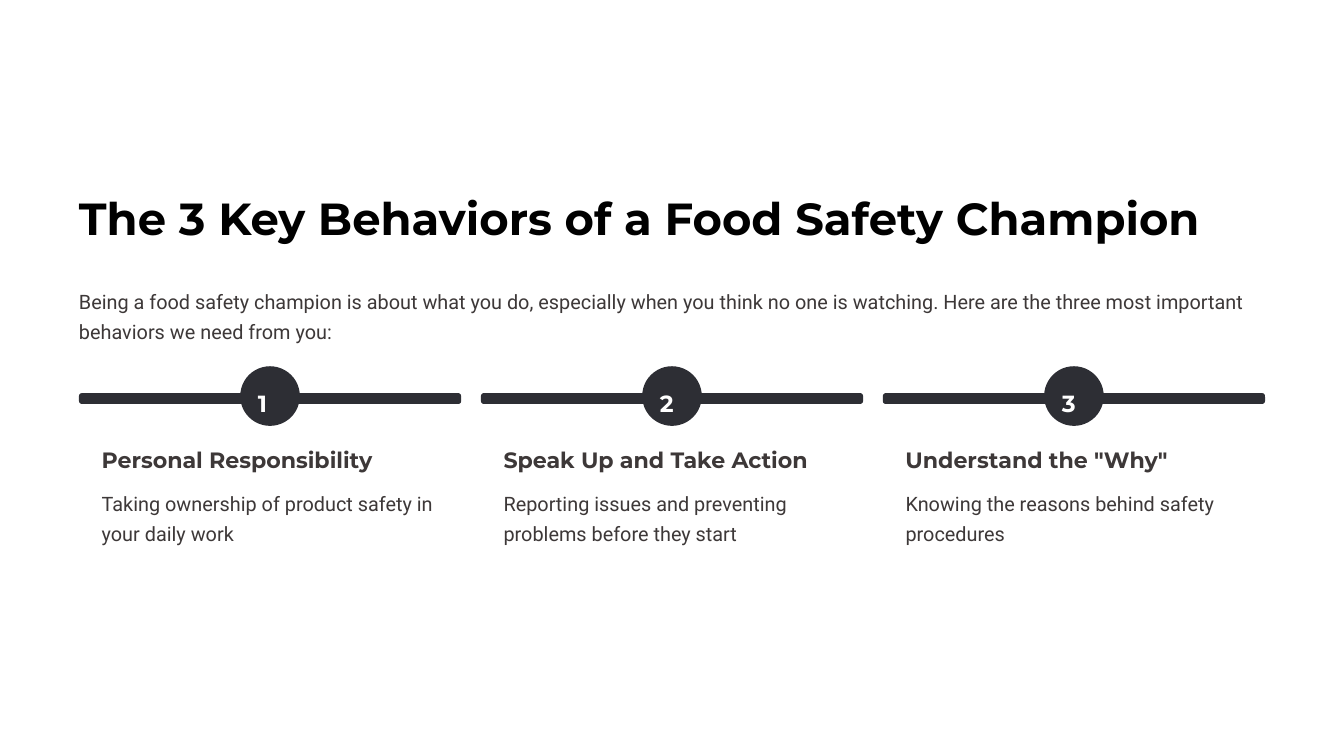
from dataclasses import dataclass

import pptx
import pptx.dml.color
import pptx.enum.shapes
import pptx.enum.text
import pptx.util

Inches = pptx.util.Inches
Pt = pptx.util.Pt

COLORS = {"white": "FFFFFF", "black": "000000", "dark": "2D2E34", "body": "3D3838"}
LEFT = 0.94
WIDTH = 4.55
PITCH = 4.785


@dataclass
class Step:
    title: str
    width: float
    detail: str


STEPS = [
    Step("Personal Responsibility", 3.28,
         "Taking ownership of product safety in your daily work"),
    Step("Speak Up and Take Action", 3.69,
         "Reporting issues and preventing problems before they start"),
    Step('Understand the "Why"', 3.17,
         "Knowing the reasons behind safety procedures"),
]


def color(name: str) -> pptx.dml.color.RGBColor:
    return pptx.dml.color.RGBColor.from_string(COLORS[name])


def add_text(slide, text: str, *, x: float, y: float, w: float, h: float,
             size: float, line: float, font: str = "Montserrat",
             bold: bool = True, fill: str = "body", wrap: bool = False) -> None:
    box = slide.shapes.add_textbox(Inches(x), Inches(y), Inches(w), Inches(h))
    frame = box.text_frame
    frame.margin_left = frame.margin_right = 0
    frame.margin_top = frame.margin_bottom = 0
    frame.word_wrap = wrap
    frame.vertical_anchor = pptx.enum.text.MSO_ANCHOR.TOP
    para = frame.paragraphs[0]
    para.line_spacing = Pt(line)
    run = para.add_run()
    run.text = text
    run.font.name = font
    run.font.size = Pt(size)
    run.font.bold = bold
    run.font.color.rgb = color(fill)


def add_body(slide, text: str, x: float, y: float, w: float) -> None:
    add_text(slide, text, x=x, y=y, w=w, h=0.71, size=17, line=25.5,
             font="Roboto", bold=False, wrap=True)


def add_round(slide, x: float, y: float, w: float, h: float,
              curve: float, fill: str) -> None:
    """Add a borderless rounded rectangle."""
    shape = slide.shapes.add_shape(
        pptx.enum.shapes.MSO_SHAPE.ROUNDED_RECTANGLE,
        Inches(x), Inches(y), Inches(w), Inches(h))
    shape.adjustments[0] = curve
    shape.shadow.inherit = False
    shape.fill.solid()
    shape.fill.fore_color.rgb = color(fill)
    shape.line.fill.background()


def add_step(slide, step: Step, index: int) -> None:
    x = LEFT + index * PITCH
    add_round(slide, x, 4.71, WIDTH, 2.05, 0.08, "white")
    add_round(slide, x, 4.68, WIDTH, 0.13, 0.27, "dark")
    add_round(slide, x + 1.92, 4.36, 0.71, 0.71, 0.5, "dark")
    add_text(slide, str(index + 1), x=x + 2.13, y=4.54, w=0.28, h=0.35,
             size=20, line=30.5, fill="white")
    add_text(slide, step.title, x=x + 0.27, y=5.3, w=step.width, h=0.34,
             size=19, line=24)
    add_body(slide, step.detail, x + 0.27, 5.78, 4.01)


def main() -> None:
    deck = pptx.Presentation()
    deck.slide_width = Inches(16)
    deck.slide_height = Inches(9)
    slide = deck.slides.add_slide(deck.slide_layouts[6])
    slide.background.fill.solid()
    slide.background.fill.fore_color.rgb = color("white")

    add_text(slide, "The 3 Key Behaviors of a Food Safety Champion",
             x=LEFT, y=2.24, w=13.38, h=0.67, size=38.5, line=48, fill="black")
    add_body(slide, "Being a food safety champion is about what you do, "
             "especially when you think no one is watching. Here are the three "
             "most important behaviors we need from you:", LEFT, 3.38, 14.11)
    for index, step in enumerate(STEPS):
        add_step(slide, step, index)
    deck.save("out.pptx")


if __name__ == "__main__":
    main()
